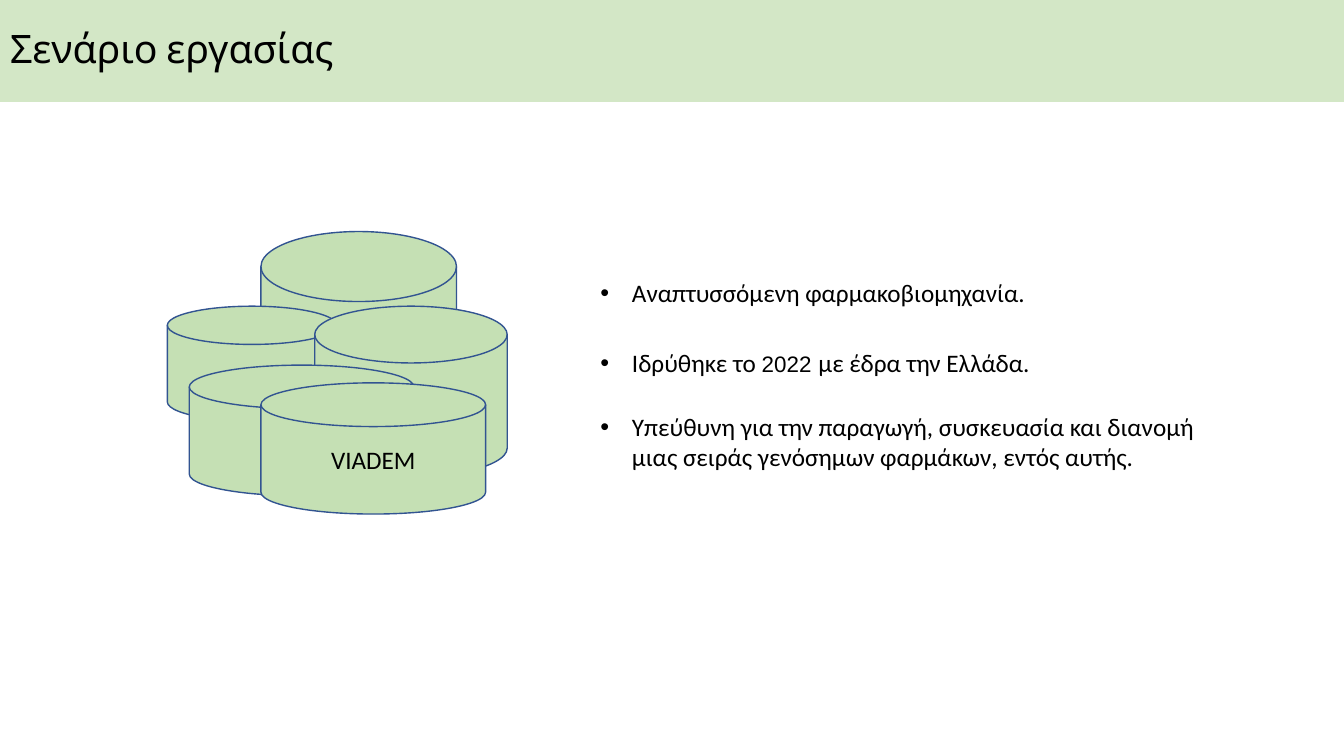
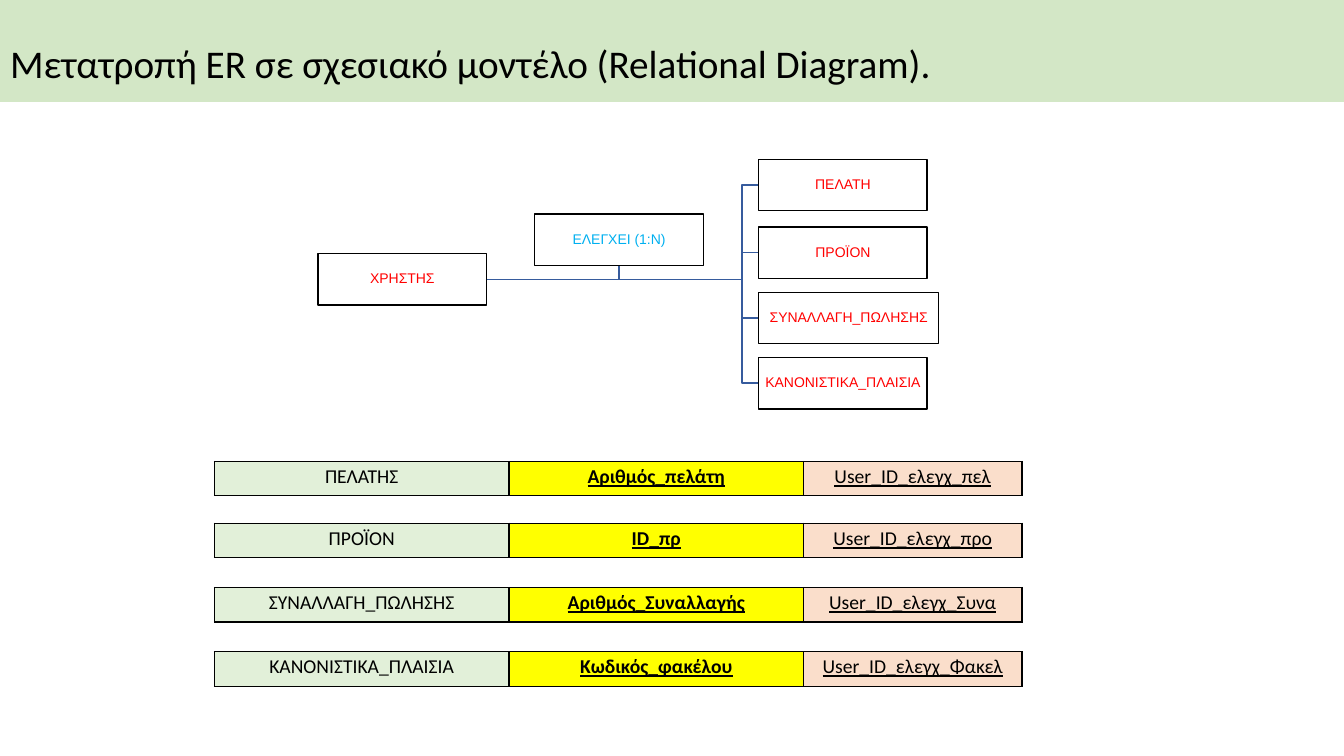
from dataclasses import dataclass

import pptx
import pptx.dml.color
import pptx.enum.shapes
import pptx.enum.text
import pptx.oxml
import pptx.oxml.ns
import pptx.util

Pt = pptx.util.Pt
Align = pptx.enum.text.PP_ALIGN
Anchor = pptx.enum.text.MSO_ANCHOR
Preset = pptx.enum.shapes.MSO_SHAPE
qn = pptx.oxml.ns.qn

BLACK = "000000"
WHITE = "FFFFFF"
GREEN = "C5E0B4"
PALE_GREEN = "E2F0D9"
YELLOW = "FFFF00"
ORANGE = "ED7D31"
DISK_EDGE = "325491"
LINK = "365B9D"
RED = "FF0000"
SKY = "00B0F0"

SLIDE_WIDTH, SLIDE_HEIGHT = 960, 540
BAND_HEIGHT = 72.7
BOX_HEIGHT = 36.8
BOX_WIDTH = 120.4
TABLE_LEFT = 153.2
COLUMN_WIDTHS = (210.4, 210.4, 156)
ROW_HEIGHT = 24.6


@dataclass(frozen=True)
class Disk:
    left: float
    top: float
    width: float
    height: float
    label: str = ""


@dataclass(frozen=True)
class Entity:
    label: str
    left: float
    top: float
    width: float = BOX_WIDTH
    color: str = RED

    @property
    def middle(self) -> float:
        return self.top + BOX_HEIGHT / 2


@dataclass(frozen=True)
class Relation:
    top: float
    name: str
    primary_key: str
    foreign_key: str


@dataclass(frozen=True)
class Bullet:
    runs: tuple[tuple[str, str, float], ...]
    space_before: float = 0


DISKS = (
    Disk(186.4, 165.4, 139.7, 150),
    Disk(119.5, 218.7, 121, 82),
    Disk(224.8, 218.7, 137.5, 121.7),
    Disk(135.2, 260.8, 160.5, 93.4),
    Disk(186.4, 273.5, 160.5, 93.7, "VIADEM"),
)

BULLETS = (
    Bullet((("Αναπτυσσόμενη φαρμακοβιομηχανία.", "Calibri", 18),)),
    Bullet((("Ιδρύθηκε το ", "Calibri", 18), ("2022", "Arial", 16), (" ", "Arial", 18),
            ("με έδρα την Ελλάδα.", "Calibri", 18)), 28.5),
    Bullet((("Υπεύθυνη για την παραγωγή, συσκευασία και διανομή μιας σειράς "
             "γενόσημων φαρμάκων, εντός αυτής.", "Calibri", 18),), 24),
)

USER = Entity("ΧΡΗΣΤΗΣ", 227.2, 181.2)
CONTROLS = Entity("ΕΛΕΓΧΕΙ (1:N)", 382, 152.8, color=SKY)
TARGETS = (
    Entity("ΠΕΛΑΤΗ", 541.9, 113.8),
    Entity("ΠΡΟΪΟΝ", 541.9, 162.1),
    Entity("ΣΥΝΑΛΛΑΓΗ_ΠΩΛΗΣΗΣ", 541.9, 208.8, 128.6),
    Entity("ΚΑΝΟΝΙΣΤΙΚΑ_ΠΛΑΙΣΙΑ", 541.9, 255.3),
)
SPINE = 530

RELATIONS = (
    Relation(329.6, "ΠΕΛΑΤΗΣ", "Αριθμός_πελάτη", "User_ID_ελεγχ_πελ"),
    Relation(373.8, "ΠΡΟΪΟΝ", "ID_πρ", "User_ID_ελεγχ_προ"),
    Relation(419.7, "ΣΥΝΑΛΛΑΓΗ_ΠΩΛΗΣΗΣ", "Αριθμός_Συναλλαγής", "User_ID_ελεγχ_Συνα"),
    Relation(465.5, "ΚΑΝΟΝΙΣΤΙΚΑ_ΠΛΑΙΣΙΑ", "Κωδικός_φακέλου", "User_ID_ελεγχ_Φακελ"),
)


def rgb(color: str) -> pptx.dml.color.RGBColor:
    return pptx.dml.color.RGBColor.from_string(color)


def paint(owner, element, color: str, opacity: int = 100) -> None:
    owner.fill.solid()
    owner.fill.fore_color.rgb = rgb(color)
    if opacity < 100:
        tint = next(element.iter(qn("a:srgbClr")))
        alpha = pptx.oxml.parse_xml(
            f'<a:alpha {pptx.oxml.ns.nsdecls("a")} val="{opacity * 1000}"/>')
        tint.append(alpha)


def style_font(font, size: float, face: str = "Calibri", color: str = BLACK) -> None:
    font.name = face
    font.size = Pt(size)
    font.color.rgb = rgb(color)


def place(shape, left: float, top: float, width: float, height: float) -> None:
    shape.left, shape.top = Pt(left), Pt(top)
    shape.width, shape.height = Pt(width), Pt(height)


def set_title(slide, text: str, face: str, align, spacing: float) -> None:
    title = slide.shapes.title
    place(title, 0, 0, SLIDE_WIDTH, BAND_HEIGHT)
    paint(title, title._element, GREEN, 75)
    frame = title.text_frame
    frame.text = text
    frame.word_wrap = True
    frame.auto_size = pptx.enum.text.MSO_AUTO_SIZE.NONE
    frame.vertical_anchor = Anchor.MIDDLE
    heading = frame.paragraphs[0]
    heading.alignment = align
    heading.line_spacing = spacing
    style_font(heading.font, 28, face)


def add_outlined(slide, preset, left: float, top: float, width: float, height: float,
                 fill: str, edge: str):
    shape = slide.shapes.add_shape(preset, Pt(left), Pt(top), Pt(width), Pt(height))
    shape.shadow.inherit = False
    paint(shape, shape._element, fill)
    shape.line.color.rgb = rgb(edge)
    shape.line.width = Pt(1)
    return shape


def write_label(frame, text: str, size: float, face: str, color: str):
    frame.text = text
    frame.word_wrap = True
    frame.vertical_anchor = Anchor.MIDDLE
    label = frame.paragraphs[0]
    label.alignment = Align.CENTER
    style_font(label.font, size, face, color)
    return label


def add_disk(slide, disk: Disk) -> None:
    shape = add_outlined(slide, Preset.FLOWCHART_MAGNETIC_DISK, disk.left, disk.top,
                         disk.width, disk.height, GREEN, DISK_EDGE)
    if disk.label:
        write_label(shape.text_frame, disk.label, 18, "Calibri", BLACK)


def fill_bullets(body, bullets: tuple[Bullet, ...]) -> None:
    place(body, 421.7, 194.4, 456, 148)
    frame = body.text_frame
    frame.word_wrap = True
    frame.auto_size = pptx.enum.text.MSO_AUTO_SIZE.NONE
    frame.vertical_anchor = Anchor.TOP
    for index, bullet in enumerate(bullets):
        paragraph = frame.add_paragraph() if index else frame.paragraphs[0]
        paragraph.space_before = Pt(bullet.space_before)
        properties = paragraph._p.get_or_add_pPr()
        properties.set("marL", str(Pt(22.5)))
        properties.set("indent", str(-Pt(22.5)))
        properties.append(pptx.oxml.parse_xml(
            f'<a:buChar {pptx.oxml.ns.nsdecls("a")} char="•"/>'))
        for text, face, size in bullet.runs:
            run = paragraph.add_run()
            run.text = text
            if len(bullet.runs) > 1:
                style_font(run.font, size, face)
        if len(bullet.runs) == 1:
            style_font(paragraph.font, size, face)


def add_entity(slide, entity: Entity) -> None:
    box = add_outlined(slide, Preset.RECTANGLE, entity.left, entity.top, entity.width,
                       BOX_HEIGHT, WHITE, BLACK)
    frame = box.text_frame
    frame.margin_left = frame.margin_right = Pt(0.5)
    frame.margin_top = frame.margin_bottom = Pt(0.5)
    write_label(frame, entity.label, 10, "Arial", entity.color).line_spacing = 0.9


def add_link(slide, start: tuple[float, float], *bends: tuple[float, float]) -> None:
    builder = slide.shapes.build_freeform(Pt(start[0]), Pt(start[1]))
    builder.add_line_segments([(Pt(x), Pt(y)) for x, y in bends], close=False)
    link = builder.convert_to_shape()
    link.shadow.inherit = False
    link.fill.background()
    link.line.color.rgb = rgb(LINK)
    link.line.width = Pt(1)


def add_borders(cell) -> None:
    properties = cell._tc.get_or_add_tcPr()
    for index, side in enumerate(("lnL", "lnR", "lnT", "lnB")):
        properties.insert(index, pptx.oxml.parse_xml(
            f'<a:{side} {pptx.oxml.ns.nsdecls("a")} w="{Pt(1)}"><a:solidFill>'
            f'<a:srgbClr val="{BLACK}"/></a:solidFill></a:{side}>'))


def add_relation(slide, relation: Relation) -> None:
    table = slide.shapes.add_table(1, len(COLUMN_WIDTHS), Pt(TABLE_LEFT), Pt(relation.top),
                                   Pt(sum(COLUMN_WIDTHS)), Pt(ROW_HEIGHT)).table
    table.first_row = table.horz_banding = False
    columns = (
        (relation.name, PALE_GREEN, 100, False, False),
        (relation.primary_key, YELLOW, 100, True, True),
        (relation.foreign_key, ORANGE, 25, False, True),
    )
    for index, (text, color, opacity, bold, underline) in enumerate(columns):
        table.columns[index].width = Pt(COLUMN_WIDTHS[index])
        cell = table.cell(0, index)
        paint(cell, cell._tc, color, opacity)
        add_borders(cell)
        cell.margin_left = cell.margin_right = Pt(5)
        cell.margin_top = cell.margin_bottom = Pt(0)
        cell.text = text
        entry = cell.text_frame.paragraphs[0]
        entry.alignment = Align.CENTER
        entry.line_spacing = 1.15
        style_font(entry.font, 14)
        entry.font.bold = bold
        entry.font.underline = underline


def build_scenario(deck) -> None:
    slide = deck.slides.add_slide(deck.slide_layouts[1])
    set_title(slide, "Σενάριο εργασίας", "Cabin", Align.LEFT, 0.9)
    fill_bullets(slide.placeholders[1], BULLETS)
    for disk in DISKS:
        add_disk(slide, disk)


def build_relational_model(deck) -> None:
    slide = deck.slides.add_slide(deck.slide_layouts[5])
    set_title(slide, "Μετατροπή ER σε σχεσιακό μοντέλο (Relational Diagram).",
              "Calibri", Align.JUSTIFY, 1.5)
    user_exit = (USER.left + USER.width, USER.middle)
    controls_center = CONTROLS.left + CONTROLS.width / 2
    add_link(slide, user_exit, (controls_center, USER.middle),
             (controls_center, CONTROLS.top + BOX_HEIGHT))
    for target in reversed(TARGETS):
        add_link(slide, user_exit, (SPINE, USER.middle), (SPINE, target.middle),
                 (target.left, target.middle))
    for entity in (USER, *TARGETS, CONTROLS):
        add_entity(slide, entity)
    for relation in RELATIONS:
        add_relation(slide, relation)


def main() -> None:
    deck = pptx.Presentation()
    deck.slide_width, deck.slide_height = Pt(SLIDE_WIDTH), Pt(SLIDE_HEIGHT)
    build_scenario(deck)
    build_relational_model(deck)
    deck.save("out.pptx")


if __name__ == "__main__":
    main()
